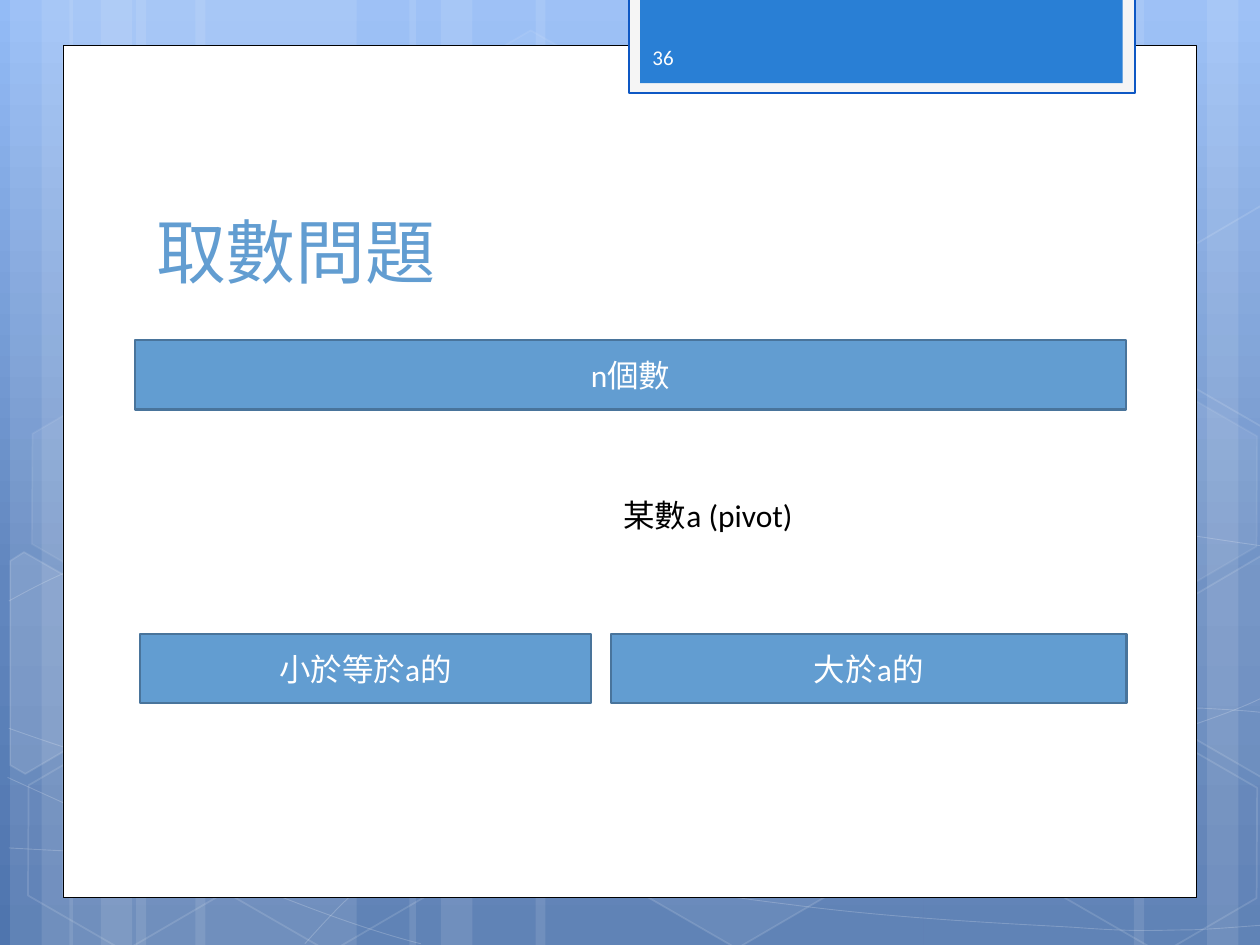
from copy import deepcopy
from math import cos, radians, sin

from lxml.etree import SubElement
from pptx import Presentation
from pptx.dml.color import RGBColor
from pptx.enum.shapes import MSO_SHAPE as Shape
from pptx.enum.text import MSO_ANCHOR as Anchor, PP_ALIGN as Align
from pptx.oxml.ns import qn
from pptx.util import Inches, Pt

WHITE = RGBColor(0xFF, 0xFF, 0xFF)
BLACK = RGBColor(0, 0, 0)
SKY = RGBColor(0x93, 0xBB, 0xF6)
STEEL = RGBColor(0x61, 0x86, 0xBE)
DEEP = RGBColor(0x4F, 0x75, 0xAE)
BAR = RGBColor(0x62, 0x9D, 0xD1)
BAR_EDGE = RGBColor(0x49, 0x74, 0x9B)
TAB = RGBColor(0x29, 0x7F, 0xD5)
TAB_FRAME = RGBColor(0xF5, 0xF5, 0xF5)
TAB_EDGE = RGBColor(0x0E, 0x58, 0xC4)
NUMBER = RGBColor(0xFE, 0xFE, 0xFE)

WIDTH, HEIGHT = 10, 7.5
BACKGROUND = [(0, SKY), (0.62, STEEL), (1, DEEP)]

STRIPES = [
    (1.08, 1.75), (0.08, 0.5), (0.33, 0.83), (1.55, 1.75), (0.55, 0.5), (0.8, 0.83),
    (7.33, 1.75), (9.58, 0.5), (9, 0.83), (4.25, 3.08), (3.25, 0.5), (3.5, 0.83),
]

CURVES = [
    ((0.07, 6.73), [
        [(0.61, 6.76), (1.15, 6.79), (1.9, 6.78)], [(2.65, 6.77), (3.58, 6.75), (4.58, 6.65)],
        [(5.58, 6.55), (7, 6.36), (7.92, 6.17)], [(8.83, 5.98), (9.77, 5.68), (10.07, 5.51)]]),
    ((0.07, 4.77), [
        [(0.36, 4.61), (0.65, 4.46), (1.21, 4.31)], [(1.78, 4.16), (2.59, 3.94), (3.47, 3.87)],
        [(4.36, 3.8), (5.44, 3.79), (6.54, 3.87)], [(7.64, 3.95), (9.47, 4.26), (10.07, 4.34)]]),
    ((0.06, 6.17), [[(1.27, 6.72), (2.47, 7.27), (3.34, 7.49)]]),
    ((0.07, 5.78), [
        [(0.38, 5.89), (0.7, 6), (1.28, 6.16)], [(1.86, 6.31), (2.73, 6.56), (3.57, 6.73)],
        [(4.4, 6.9), (5.45, 7.08), (6.28, 7.18)], [(7.11, 7.29), (8, 7.33), (8.53, 7.36)],
        [(9.05, 7.4), (9.19, 7.38), (9.45, 7.38)], [(9.71, 7.37), (9.89, 7.35), (10.07, 7.34)]]),
    ((2.42, 7.49), [
        [(2.6, 7.29), (2.78, 7.09), (3.02, 6.91)], [(3.26, 6.73), (3.6, 6.53), (3.88, 6.39)],
        [(4.16, 6.25), (4.33, 6.19), (4.7, 6.09)], [(5.06, 5.99), (5.73, 5.85), (6.08, 5.78)],
        [(6.44, 5.71), (6.49, 5.71), (6.8, 5.69)], [(7.11, 5.66), (7.6, 5.63), (7.94, 5.62)],
        [(8.29, 5.61), (8.86, 5.62), (8.86, 5.62)], [(9.53, 5.62)],
        [(9.71, 5.63), (9.88, 5.64), (9.97, 5.65)], [(10.06, 5.66)]]),
]

TILT = 30
HEXAGON_SIZE = (1.75, 1.52)
HEXAGONS = [
    (3.34, 0.36, 4, 8), (4.97, 5.89, 6, 12),
    (0.11, 5.91, 0, 12), (0.14, 3.12, 7, 8), (1.74, 5.92, 0, 12), (7.53, 4.53, 10, 12),
    (8.34, 5.93, 0, 12), (8.34, 3.14, 7, 8),
]
CUT_HEXAGONS = [
    ([(0.08, 4.45), (0.19, 4.38), (0.96, 4.82), (0.95, 5.7), (0.2, 6.14), (0.08, 6.07)],
     (0.36, 5.35), 10),
    ([(9.26, 4.85), (10.01, 4.41), (10.09, 4.46), (10.09, 6.13), (10.02, 6.17), (9.26, 5.73)],
     (9.85, 5.2), 4),
    ([(9.26, 2.07), (10.01, 1.63), (10.1, 1.68), (10.09, 3.35), (10.02, 3.39), (9.26, 2.95)],
     (9.85, 2.41), 0),
]

PANELS = [
    (0.5, 0.36, 9, 6.76, WHITE, BLACK, 0.5),
    (4.99, -0.02, 4.02, 0.76, TAB_FRAME, TAB_EDGE, 1.25),
    (5.08, -0.02, 3.83, 0.68, TAB, None, 0),
]

BAR_HEIGHT, BAR_RIGHT, LOWER_TOP, SPLIT = 0.55, 8.94, 5.03, 4.85
BARS = [
    ("n個數", 1.07, 2.7, BAR_RIGHT),
    ("小於等於a的", 1.11, LOWER_TOP, 4.69),
    ("大於a的", SPLIT, LOWER_TOP, BAR_RIGHT),
]
LABELS = [
    ("取數問題", 1.14, 1.12, 7.68, 1.25, Anchor.BOTTOM, 40, "Noto Sans Mono", BAR),
    ("36", 5.08, 0.25, 1.46, 0.4, Anchor.MIDDLE, 12, "Calibri", NUMBER),
    ("某數a (pivot)", SPLIT, 3.89, 1.56, 0.4, Anchor.TOP, 18, "Calibri", BLACK),
]

deck = Presentation()
deck.slide_width, deck.slide_height = Inches(WIDTH), Inches(HEIGHT)
page = deck.slides.add_slide(deck.slide_layouts[6])


def paint(fill, color, opacity=100):
    if color is None or opacity == 0:
        fill.background()
        return
    fill.solid()
    fill.fore_color.rgb = color
    if opacity < 100:
        color_node = fill._xPr.find(qn("a:solidFill"))[0]
        SubElement(color_node, qn("a:alpha"), val=str(opacity * 1000))


def style(shape, fill, fill_opacity=100, edge=None, weight=0, edge_opacity=100):
    shape.shadow.inherit = False
    paint(shape.fill, fill, fill_opacity)
    paint(shape.line.fill, edge, edge_opacity)
    if edge is not None:
        shape.line.width = Pt(weight)


def add_shape(kind, left, top, width, height):
    return page.shapes.add_shape(kind, *map(Inches, (left, top, width, height)))


def add_outline(points, close):
    start, *rest = [(Inches(x), Inches(y)) for x, y in points]
    builder = page.shapes.build_freeform(*start)
    builder.add_line_segments(rest, close=close)
    return builder.convert_to_shape()


def add_curve(start, segments):
    curve = add_outline([start, *(point for segment in segments for point in segment)], False)
    outline = next(curve._element.iter(qn("a:path")))
    lines = iter(outline.findall(qn("a:lnTo")))
    for segment in segments:
        steps = [next(lines) for _ in segment]
        if len(steps) == 3:
            bend = SubElement(outline, qn("a:cubicBezTo"))
            for step in steps:
                bend.append(step[0])
                outline.remove(step)
        else:
            outline.append(steps[0])
    return curve


def turn(point, center, degrees):
    dx, dy = point[0] - center[0], point[1] - center[1]
    c, s = cos(radians(degrees)), sin(radians(degrees))
    return center[0] + dx * c - dy * s, center[1] + dx * s + dy * c


def write(box, text, anchor, size, font, color, align=Align.LEFT):
    frame = box.text_frame
    frame.word_wrap = True
    frame.vertical_anchor = anchor
    frame.text = text
    para = frame.paragraphs[0]
    para.alignment = align
    span = para.runs[0].font
    span.size, span.name, span.color.rgb = Pt(size), font, color


backdrop = page.background.fill
backdrop.gradient()
backdrop.gradient_angle = 270
stop_list = next(page.element.iter(qn("a:gsLst")))
stop_list.append(deepcopy(stop_list[-1]))
for stop, (position, color) in zip(backdrop.gradient_stops, BACKGROUND):
    stop.position, stop.color.rgb = position, color

for left, width in STRIPES:
    style(add_shape(Shape.RECTANGLE, left, 0, width, HEIGHT), WHITE, 10)
for start, segments in CURVES:
    style(add_curve(start, segments), None, edge=WHITE, weight=0.5, edge_opacity=20)
for left, top, opacity, edge_opacity in HEXAGONS:
    hexagon = add_shape(Shape.HEXAGON, left, top, *HEXAGON_SIZE)
    hexagon.rotation = TILT
    hexagon.adjustments[0] = 0.285
    style(hexagon, WHITE, opacity, WHITE, 1, edge_opacity)
for points, center, opacity in CUT_HEXAGONS:
    hexagon = add_outline([turn(point, center, -TILT) for point in points], True)
    hexagon.rotation = TILT
    style(hexagon, WHITE, opacity, WHITE, 1, 12)

for left, top, width, height, fill, edge, weight in PANELS:
    style(add_shape(Shape.RECTANGLE, left, top, width, height), fill, edge=edge, weight=weight)
for text, left, top, right in BARS:
    bar = add_shape(Shape.RECTANGLE, left, top, right - left, BAR_HEIGHT)
    style(bar, BAR, edge=BAR_EDGE, weight=1.25)
    write(bar, text, Anchor.MIDDLE, 18, "Calibri", WHITE, Align.CENTER)
for text, left, top, width, height, *look in LABELS:
    write(page.shapes.add_textbox(*map(Inches, (left, top, width, height))), text, *look)

deck.save("out.pptx")
